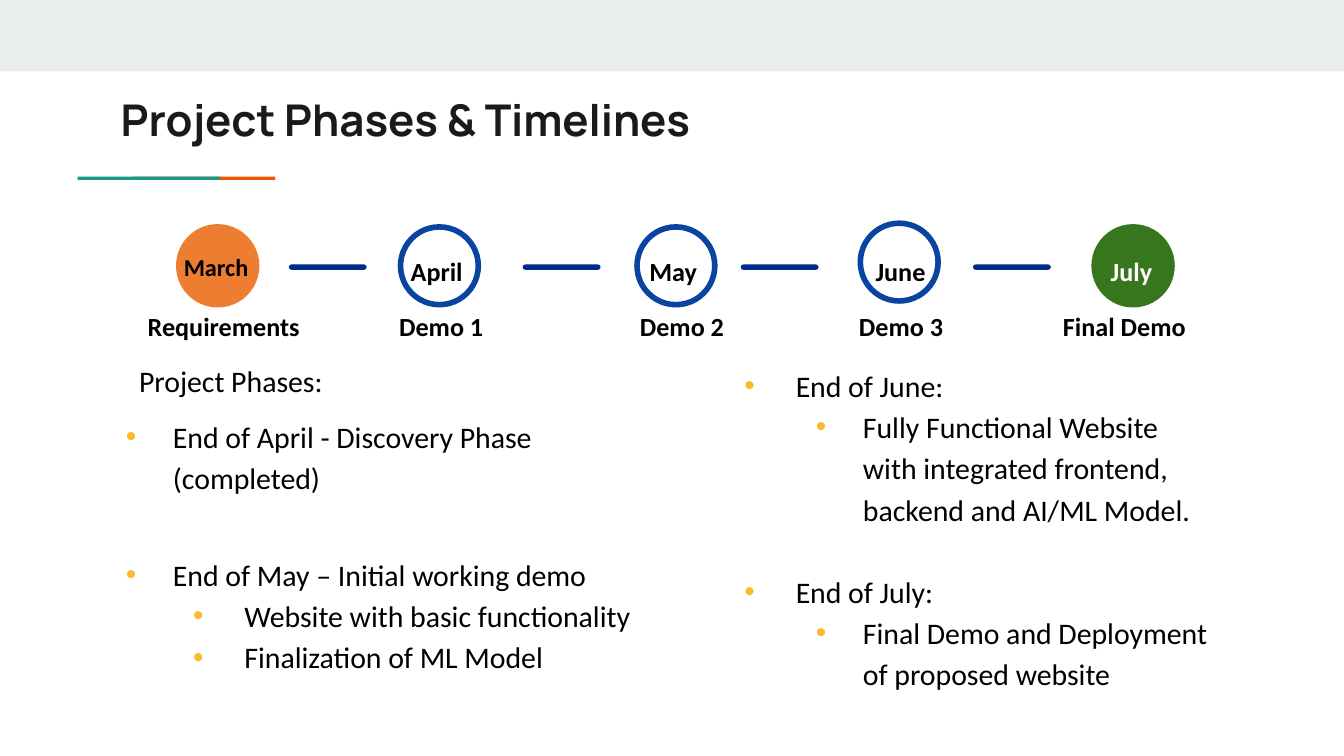
from typing import NamedTuple, Optional

from lxml.etree import SubElement
from pptx import Presentation
from pptx.dml.color import RGBColor
from pptx.enum.shapes import MSO_SHAPE as Shape
from pptx.enum.text import MSO_ANCHOR as Anchor, PP_ALIGN as Align
from pptx.oxml.ns import qn
from pptx.util import Cm, Pt

BLACK = RGBColor(0x00, 0x00, 0x00)
WHITE = RGBColor(0xFF, 0xFF, 0xFF)
INK = RGBColor(0x1A, 0x1A, 0x1A)
BAND = RGBColor(0xE9, 0xED, 0xEE)
TEAL = RGBColor(0x1A, 0x99, 0x88)
RUST = RGBColor(0xEB, 0x56, 0x00)
NAVY = RGBColor(0x00, 0x2B, 0x8A)
BLUE = RGBColor(0x09, 0x44, 0xA1)
ORANGE = RGBColor(0xED, 0x7D, 0x31)
GREEN = RGBColor(0x38, 0x76, 0x1D)
AMBER = "FEB92F"

BODY_FONT = "Calibri"
DOT_SIZE = 1.47


class Box(NamedTuple):
    left: float
    top: float
    width: float
    height: float


class Milestone(NamedTuple):
    month: str
    label: str
    dot_left: float
    dot_top: float
    month_box: Box
    label_left: float
    line: RGBColor = BLUE
    fill: Optional[RGBColor] = None
    text: RGBColor = BLACK
    month_size: float = 14


class Item(NamedTuple):
    text: str
    margin: float
    indent: float
    before: float = 0
    bullet: bool = True


MILESTONES = [
    Milestone("March ", "Requirements", 3.38, 4.29, Box(3.07, 4.37, 2.13, 0.79), 2.11,
              ORANGE, ORANGE, month_size=13),
    Milestone("April ", "Demo 1", 7.57, 4.29, Box(7.37, 4.39, 1.88, 0.79), 6.22),
    Milestone("May ", "Demo 2", 12.04, 4.29, Box(11.79, 4.39, 1.98, 0.79), 10.77),
    Milestone("June", "Demo 3", 16.26, 4.22, Box(16.03, 4.39, 1.98, 0.79), 14.91),
    Milestone("July ", "Final Demo", 20.68, 4.29, Box(20.45, 4.39, 1.98, 0.79), 19.13,
              GREEN, GREEN, WHITE),
]
DASH_LEFTS = [5.46, 9.88, 14.0, 18.39]

EARLY_PHASES = [
    Item("Project Phases:", 1.27, -0.64, bullet=False),
    Item("End of April - Discovery Phase (completed)", 1.27, -0.89, 8),
    Item("End of May – Initial working demo", 1.27, -0.89, 30),
    Item("Website with basic functionality", 2.62, -0.97),
    Item("Finalization of ML Model", 2.62, -0.97),
]
LATE_PHASES = [
    Item("End of June:", 2.62, -0.97),
    Item("Fully Functional Website with integrated frontend, backend and AI/ML Model.",
         3.89, -0.89),
    Item("End of July:", 2.62, -0.97, 22),
    Item("Final Demo and Deployment of proposed website", 3.89, -0.89),
]


def lengths(box: Box) -> list:
    return [Cm(value) for value in box]


def add_span(para, text: str, size: float, color: RGBColor,
             font: str = BODY_FONT, bold: bool = False) -> None:
    span = para.add_run()
    span.text = text
    span.font.name = font
    span.font.size = Pt(size)
    span.font.bold = bold
    span.font.color.rgb = color


def set_insets(frame, side: float, end: float) -> None:
    frame.margin_left = frame.margin_right = Cm(side)
    frame.margin_top = frame.margin_bottom = Cm(end)
    frame.word_wrap = True


def add_shape(page, kind, box: Box, fill: Optional[RGBColor],
              line: Optional[RGBColor] = None):
    shape = page.shapes.add_shape(kind, *lengths(box))
    shape.shadow.inherit = False
    if fill is None:
        shape.fill.background()
    else:
        shape.fill.solid()
        shape.fill.fore_color.rgb = fill
    if line is None:
        shape.line.fill.background()
    else:
        shape.line.color.rgb = line
        shape.line.width = Pt(3)
    return shape


def add_caption(page, box: Box, text: str, size: float, color: RGBColor,
                anchor, after: float = 0) -> None:
    frame = page.shapes.add_textbox(*lengths(box)).text_frame
    set_insets(frame, 0.33, 0.69)
    frame.vertical_anchor = anchor
    para = frame.paragraphs[0]
    para.alignment = Align.CENTER
    para.line_spacing = 1.15
    para.space_after = Pt(after)
    add_span(para, text, size, color, bold=True)


def add_milestone(page, stone: Milestone) -> None:
    dot = Box(stone.dot_left, stone.dot_top, DOT_SIZE, DOT_SIZE)
    add_shape(page, Shape.OVAL, dot, stone.fill, stone.line)
    add_caption(page, stone.month_box, stone.month, stone.month_size, stone.text,
                Anchor.TOP, after=21)
    add_caption(page, Box(stone.label_left, 5.69, 4.24, 1.12), stone.label, 14, BLACK,
                Anchor.BOTTOM)


def add_bullet(properties) -> None:
    color = SubElement(properties, qn("a:buClr"))
    SubElement(color, qn("a:srgbClr"), val=AMBER)
    SubElement(properties, qn("a:buFont"), typeface="Arial")
    SubElement(properties, qn("a:buChar"), char="•")


def add_list(page, box: Box, items: list[Item]) -> None:
    frame = page.shapes.add_textbox(*lengths(box)).text_frame
    set_insets(frame, 0.25, 0.25)
    for index, item in enumerate(items):
        para = frame.add_paragraph() if index else frame.paragraphs[0]
        para.space_before = Pt(item.before)
        para.line_spacing = 1.15 if item.bullet else 1.0
        properties = para._p.get_or_add_pPr()
        properties.set("marL", str(Cm(item.margin)))
        properties.set("indent", str(Cm(item.indent)))
        if item.bullet:
            add_bullet(properties)
        add_span(para, item.text, 16, BLACK)


def add_title(page, text: str) -> None:
    title = page.shapes.title
    title.left, title.top, title.width, title.height = lengths(Box(2.03, 1.5, 21.36, 1.5))
    frame = title.text_frame
    set_insets(frame, 0.25, 0.25)
    frame.vertical_anchor = Anchor.MIDDLE
    para = frame.paragraphs[0]
    para.alignment = Align.LEFT
    add_span(para, text, 23.4, INK, "Manrope", True)


def main() -> None:
    deck = Presentation()
    deck.slide_width, deck.slide_height = Cm(25.4), Cm(14.29)
    page = deck.slides.add_slide(deck.slide_layouts[5])
    add_shape(page, Shape.RECTANGLE, Box(0, 0, 25.4, 1.35), BAND)
    add_shape(page, Shape.RECTANGLE, Box(2.51, 3.34, 2.69, 0.06), RUST)
    add_shape(page, Shape.RECTANGLE, Box(1.47, 3.34, 2.69, 0.06), TEAL)
    add_title(page, "Project Phases & Timelines")
    add_list(page, Box(1.75, 6.6, 10.75, 6.7), EARLY_PHASES)
    add_list(page, Box(12.17, 6.6, 10.92, 6.7), LATE_PHASES)
    for left in DASH_LEFTS:
        dash = add_shape(page, Shape.ROUNDED_RECTANGLE, Box(left, 5.0, 1.47, 0.1), NAVY)
        dash.adjustments[0] = 0.5
    for stone in MILESTONES:
        add_milestone(page, stone)
    deck.save("out.pptx")


if __name__ == "__main__":
    main()
